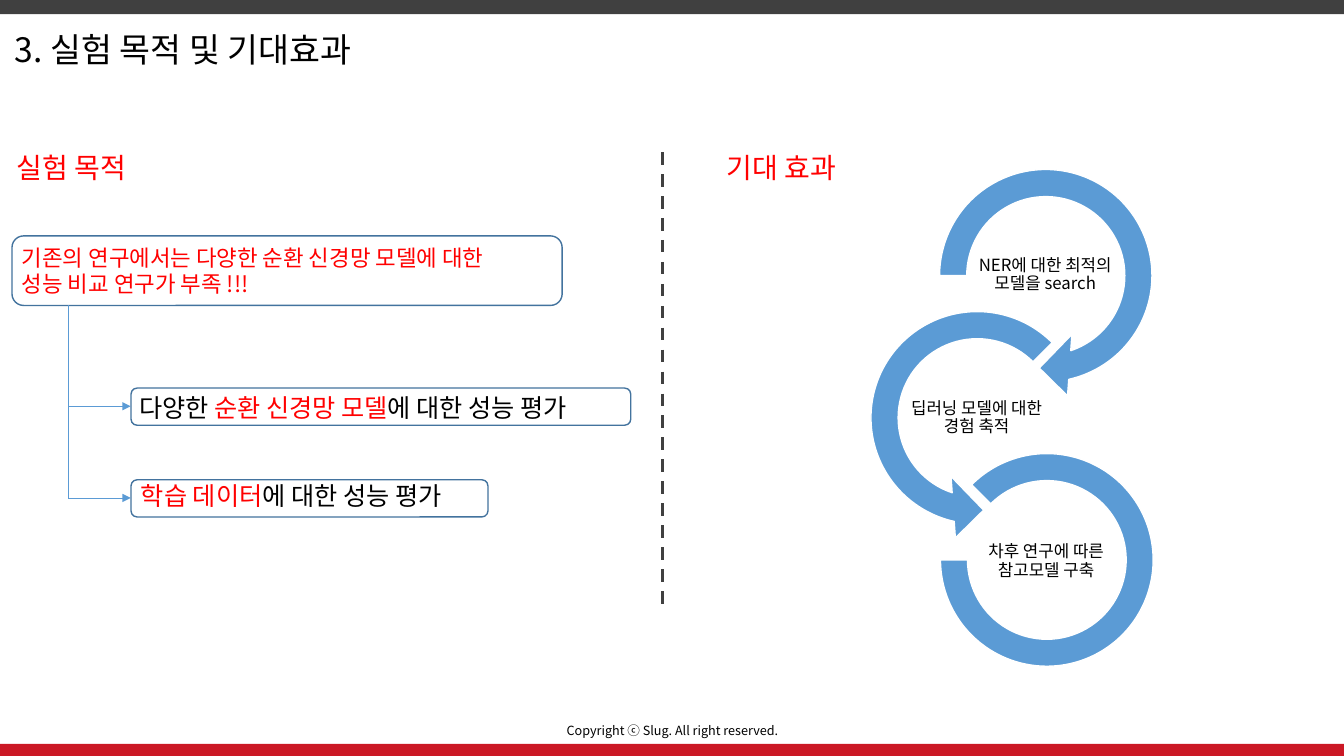
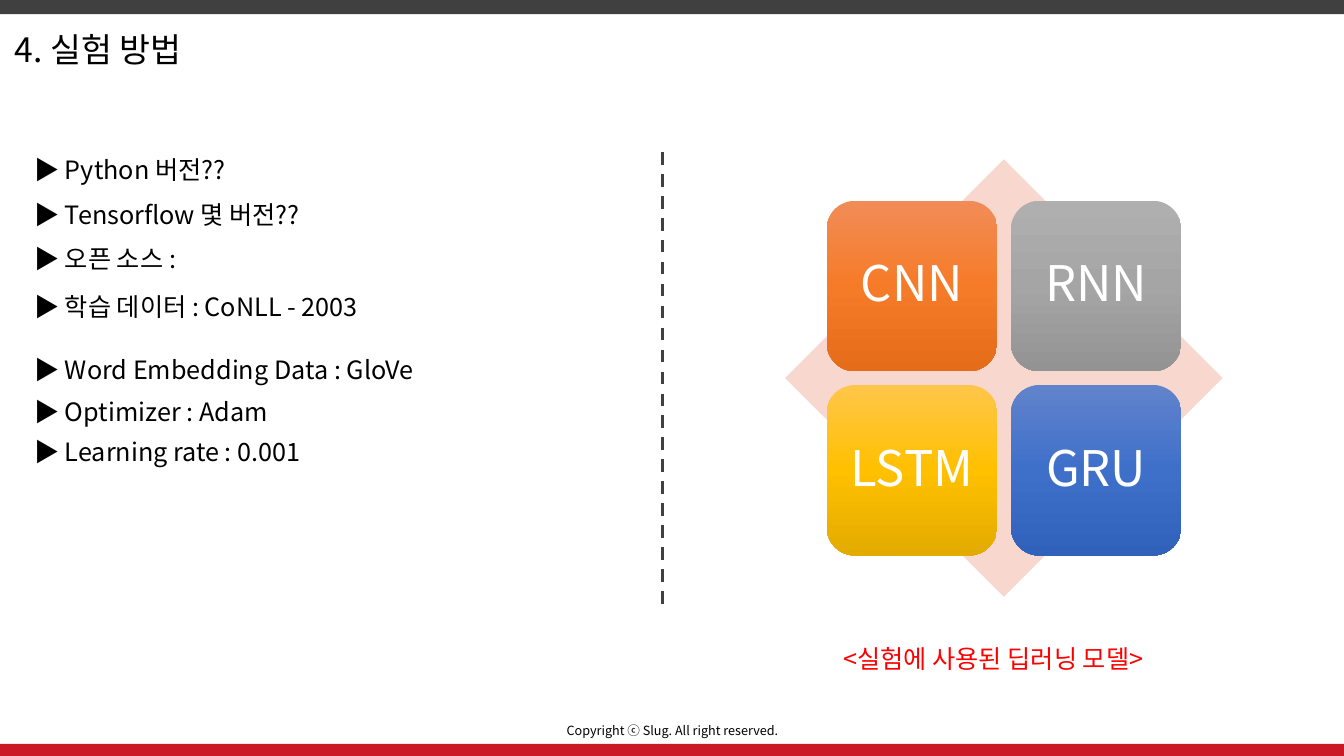
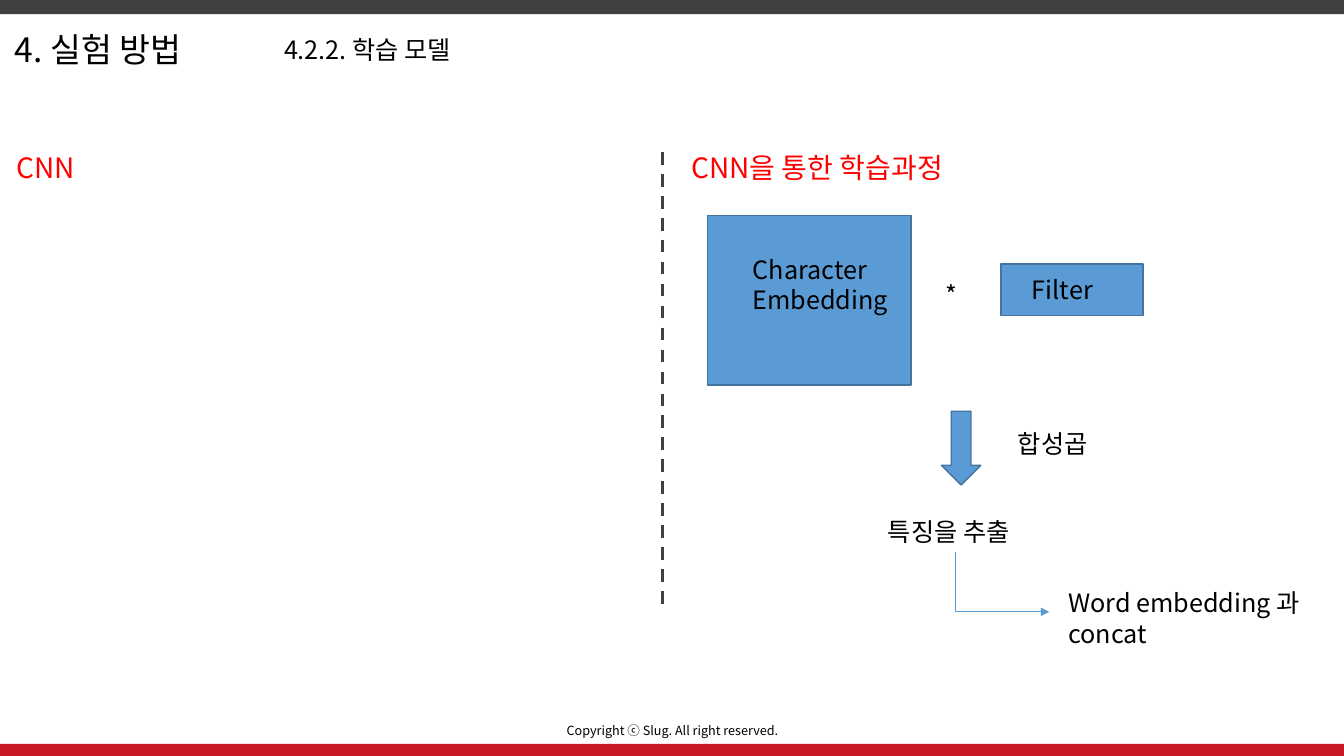
"""Build three slides on the aims and method of a sequence model experiment."""
from copy import deepcopy

from lxml import etree
from pptx import Presentation
from pptx.dml.color import RGBColor
from pptx.enum.dml import MSO_LINE
from pptx.enum.shapes import MSO_CONNECTOR, MSO_SHAPE
from pptx.enum.text import MSO_ANCHOR, MSO_AUTO_SIZE, PP_ALIGN
from pptx.oxml.ns import qn
from pptx.util import Pt

RECT, ROUND, DIAMOND = MSO_SHAPE.RECTANGLE, MSO_SHAPE.ROUNDED_RECTANGLE, MSO_SHAPE.DIAMOND
DOWN, ARC = MSO_SHAPE.DOWN_ARROW, MSO_SHAPE.BLOCK_ARC
RIGHT_TURN, LEFT_TURN = MSO_SHAPE.CIRCULAR_ARROW, MSO_SHAPE.LEFT_CIRCULAR_ARROW
STRAIGHT, DASH = MSO_CONNECTOR.STRAIGHT, MSO_LINE.DASH
CENTER, MIDDLE = PP_ALIGN.CENTER, MSO_ANCHOR.MIDDLE
GROW, FIXED = MSO_AUTO_SIZE.SHAPE_TO_FIT_TEXT, MSO_AUTO_SIZE.NONE

FONT = "Noto Sans CJK KR"
WIDTH, HEIGHT = 960, 540
BLACK, WHITE, RED = "000000", "FFFFFF", "FF0000"
BLUE, EDGE, DARK, BRAND, PINK = "5B9BD5", "43739E", "404040", "CB1825", "F8D7CE"
FOOTER = "Copyright ⓒ Slug. All right reserved."

PURPOSE = {
    "title": "3. 실험 목적 및 기대효과",
    "heads": [("실험 목적", 5, 175), ("기대 효과", 512, 175)],
    "problem": ["기존의 연구에서는 다양한 순환 신경망 모델에 대한 ", "성능 비교 연구가 부족 !!!"],
    "goals": [
        ([("다양한 ", BLACK), ("순환 신경망 모델", RED), ("에 대한 성능 평가", BLACK)],
         (92.2, 276.5), (277.2, 357), 290.2),
        ([("학습 데이터", RED), ("에 대한 성능 평가", BLACK)],
         (93.6, 339.8), (342.7, 255), 355.7),
    ],
    "effects": [
        ("NER에 대한 최적의 모델을 search", RIGHT_TURN, (658.8, 108.7, 176.4),
         (0.11, 11.423, 45, 108, 0.125), (697.7, 172.1, 97.9)),
        ("딥러닝 모델에 대한 경험 축적", LEFT_TURN, (609.8, 210.2, 176.4),
         (0.11, 11.423, 63, 189, 0.125), (648.7, 274.3, 97.9)),
        ("차후 연구에 따른 참고모델 구축", ARC, (671.8, 324, 151.9),
         (135, 108, 0.127), (696.2, 376.6, 102.2)),
    ],
}

METHOD = {
    "title": "4. 실험 방법",
    "settings": [
        ("Python 버전??", 106.6), ("Tensorflow 몇 버전??", 139), ("오픈 소스 : ", 170.6),
        ("학습 데이터 : CoNLL - 2003", 204.5), ("Word Embedding Data : GloVe", 249.8),
        ("Optimizer : Adam ", 279.4), ("Learning rate : 0.001", 308.2),
    ],
    "models": [
        ("CNN", ("F18C57", "F67B28", "E56C19")), ("RNN", ("AFAFAF", "A5A5A5", "939393")),
        ("LSTM", ("FFC64B", "FFC000", "E3AB00")), ("GRU", ("6183CB", "3E70CA", "3062BB")),
    ],
    "caption": "<실험에 사용된 딥러닝 모델>",
}

TRAINING = {
    "title": "4. 실험 방법",
    "subtitle": "4.2.2. 학습 모델",
    "heads": [("CNN", 5, 175), ("CNN을 통한 학습과정", 486.7, 233.3)],
    "blocks": [(RECT, 505.4, 154.1, 145.4, 121), (RECT, 715, 188.6, 101.5, 36.7),
               (DOWN, 672.5, 293.8, 28.1, 52.6)],
    "labels": [
        (["Character", "Embedding"], 530.6, 177.8, 112.3, 51.1),
        (["Filter"], 730.1, 192.2, 74.2, 28.8), (["*"], 668.2, 195.8, 51.8, 28.8),
        (["합성곱"], 720, 302.4, 96.5, 28.8), (["특징을 추출"], 627.1, 365, 148.3, 28.8),
        (["Word embedding 과 concat"], 756, 416.2, 193, 51.1),
    ],
    "elbow": [(682.6, 394.6), (682.6, 437), (749.5, 437)],
}


def rgb(code):
    return RGBColor.from_string(code)


def add_text(page, lines, left, top, width, height, size=18, color=BLACK,
             inset=None, paragraph=None, **frame_format):
    """Each line is a string or a list of (text, colour) spans."""
    box = page.shapes.add_textbox(Pt(left), Pt(top), Pt(width), Pt(height))
    frame = box.text_frame
    settings = {"word_wrap": True, "auto_size": GROW, **frame_format}
    if inset is not None:
        for side in ("left", "right", "top", "bottom"):
            settings["margin_" + side] = Pt(inset)
    for name, value in settings.items():
        setattr(frame, name, value)
    for index, line in enumerate(lines):
        para = frame.add_paragraph() if index else frame.paragraphs[0]
        for name, value in (paragraph or {}).items():
            setattr(para, name, value)
        for text, shade in [(line, color)] if isinstance(line, str) else line:
            span = para.add_run()
            span.text = text
            for name, value in {"name": FONT, "size": Pt(size)}.items():
                setattr(span.font, name, value)
            span.font.color.rgb = rgb(shade)
            east_asian = etree.SubElement(span.font._element, qn("a:ea"))
            east_asian.set("typeface", FONT)


def add_centered(page, text, left, top, width, height, size, inset):
    color = WHITE if size > 30 else BLACK
    add_text(page, [text], left, top, width, height, size, color, inset,
             {"alignment": CENTER, "line_spacing": 0.9},
             vertical_anchor=MIDDLE, auto_size=FIXED)


def add_shape(page, kind, left, top, width, height, fill=None, line=None, adjust=()):
    shape = page.shapes.add_shape(kind, Pt(left), Pt(top), Pt(width), Pt(height))
    shape.shadow.inherit = False
    for index, value in enumerate(adjust):
        shape.adjustments[index] = value
    for paint, color in ((shape.fill, fill), (shape.line.fill, line)):
        if color:
            paint.solid()
            paint.fore_color.rgb = rgb(color)
        else:
            paint.background()
    if line:
        shape.line.width = Pt(1)
    return shape


def add_gradient(shape, colors):
    shape.fill.gradient()
    shape.fill.gradient_angle = 270
    stop_list = shape._element.spPr.find(qn("a:gradFill")).find(qn("a:gsLst"))
    stop_list.append(deepcopy(stop_list[-1]))
    for index, (stop, color) in enumerate(zip(shape.fill.gradient_stops, colors)):
        stop.color.rgb = rgb(color)
        stop.position = index / 2


def add_line(page, start, end, color=BLUE, width=0.5, dash=None, arrow=False):
    line = page.shapes.add_connector(STRAIGHT, *map(Pt, start + end))
    line.line.color.rgb = rgb(color)
    line.line.width = Pt(width)
    if dash:
        line.line.dash_style = dash
    if arrow:
        etree.SubElement(line.line._get_or_add_ln(), qn("a:tailEnd")).set("type", "triangle")
    etree.SubElement(line._element.spPr, qn("a:effectLst"))


def start_page(deck, content):
    page = deck.slides.add_slide(deck.slide_layouts[6])
    add_shape(page, RECT, 0, 531.4, WIDTH, 8.6, BRAND)
    add_shape(page, RECT, 0, 0, WIDTH, 10.1, DARK)
    add_text(page, [FOOTER], 366.5, 512.6, 227.5, 18, 9, paragraph={"alignment": CENTER})
    add_text(page, [content["title"]], 3.6, 17.3, 308.9, 36, 24)
    add_line(page, (473, 108.7), (473, 431.3), DARK, 2.25, DASH)
    for text, left, width in content.get("heads", []):
        add_text(page, [text], left, 103.7, width, 31.7, 20, RED)
    return page


def build_purpose(deck):
    page = start_page(deck, PURPOSE)
    trunk = 48.6
    add_text(page, PURPOSE["problem"], 8.6, 170.6, 590.4, 46.1, 16, RED)
    add_shape(page, ROUND, 8.6, 168.5, 393, 49.7, line=EDGE)
    add_line(page, (trunk, 218.2), (trunk, 356.2))
    for spans, (left, top), (box_top, box_width), arrow_y in PURPOSE["goals"]:
        add_text(page, [spans], left, top, 373, 28.8)
        add_shape(page, ROUND, 93.6, box_top, box_width, 26.6, line=EDGE)
        add_line(page, (trunk, arrow_y), (93.4, arrow_y), arrow=True)
    for text, kind, (left, top, size), adjust, (text_left, text_top, width) in PURPOSE["effects"]:
        add_shape(page, kind, left, top, size, size, BLUE, WHITE, adjust)
        add_centered(page, text, text_left, text_top, width, 49, 12, 0.6)


def build_method(deck):
    page = start_page(deck, METHOD)
    for text, top in METHOD["settings"]:
        add_text(page, ["▶ " + text], 17.3, top, 419, 28.8)
    add_text(page, [METHOD["caption"]], 595.4, 455.8, 275.8, 28.8, color=RED)
    add_shape(page, DIAMOND, 560.9, 113.8, 312.5, 312.5, PINK)
    side, pitch, inset = 121.8, 131.6, 5.9
    for index, (name, colors) in enumerate(METHOD["models"]):
        row, column = divmod(index, 2)
        left, top = 590.5 + column * pitch, 143.4 + row * pitch
        add_gradient(add_shape(page, ROUND, left, top, side, side), colors)
        inner = side - 2 * inset
        add_centered(page, name, left + inset, top + inset, inner, inner, 35, 10.8)


def build_training(deck):
    page = start_page(deck, TRAINING)
    add_text(page, [TRAINING["subtitle"]], 195.8, 20.9, 419, 28.8)
    for block in TRAINING["blocks"]:
        add_shape(page, *block, BLUE, EDGE)
    for label in TRAINING["labels"]:
        add_text(page, *label)
    start, corner, end = TRAINING["elbow"]
    add_line(page, start, corner)
    add_line(page, corner, end, arrow=True)


deck = Presentation()
deck.slide_width, deck.slide_height = Pt(WIDTH), Pt(HEIGHT)
for build in (build_purpose, build_method, build_training):
    build(deck)
deck.save("out.pptx")
